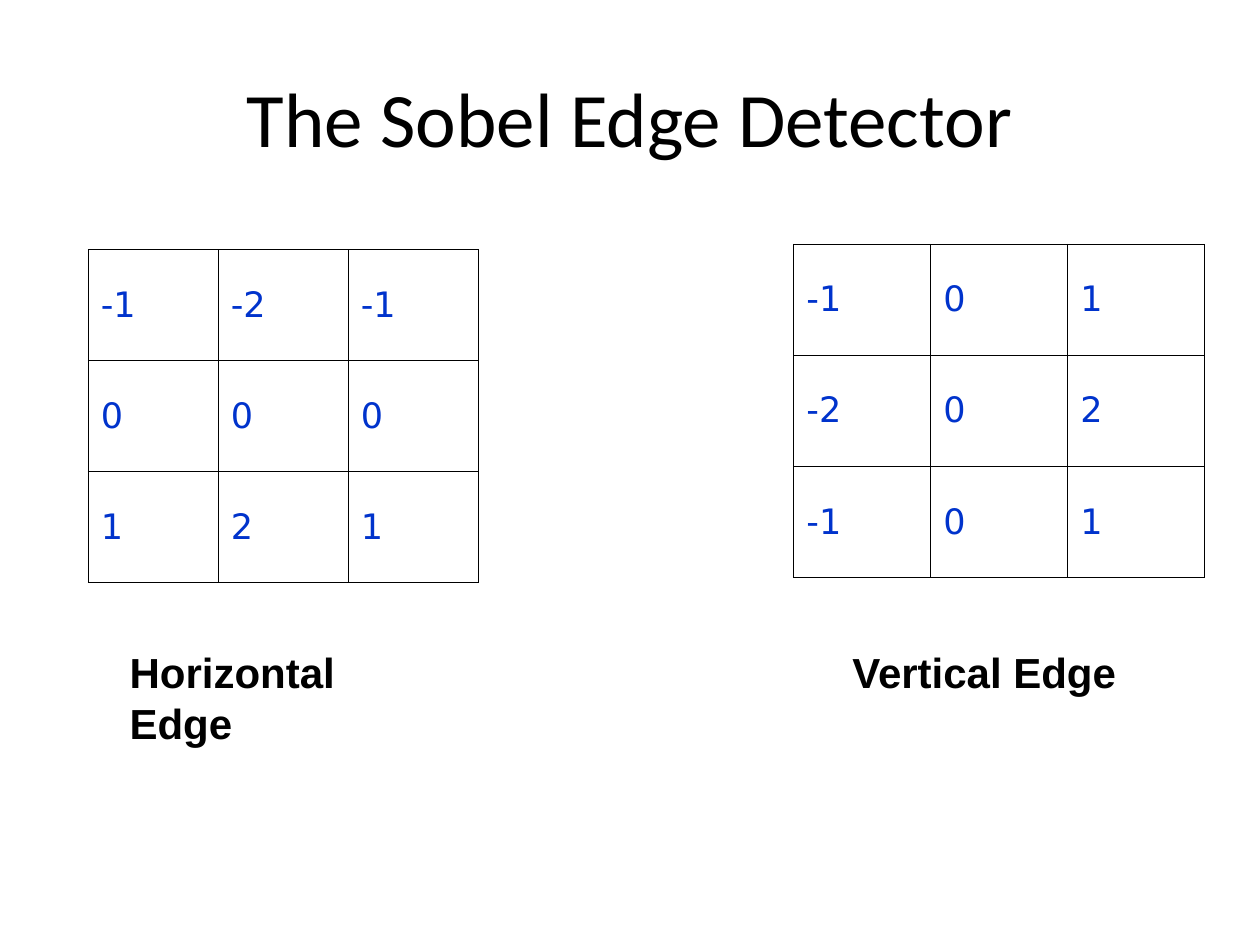
import pptx
import pptx.dml.color
import pptx.enum.text
import pptx.oxml
import pptx.oxml.ns
import pptx.util

Pt = pptx.util.Pt
BLACK = pptx.dml.color.RGBColor(0x00, 0x00, 0x00)
BLUE = pptx.dml.color.RGBColor(0x00, 0x33, 0xCC)
BORDER_WIDTH = Pt(0.45)

HORIZONTAL = [[-1, -2, -1], [0, 0, 0], [1, 2, 1]]
VERTICAL = [[-1, 0, 1], [-2, 0, 2], [-1, 0, 1]]


def format_text(tf, font, size, color, bold=False):
    for p in tf.paragraphs:
        for r in p.runs:
            r.font.name = font
            r.font.size = Pt(size)
            r.font.color.rgb = color
            r.font.bold = bold


def add_borders(cell):
    tcPr = cell._tc.get_or_add_tcPr()
    for side in ("lnL", "lnR", "lnT", "lnB"):
        tcPr.append(pptx.oxml.parse_xml(
            f'<a:{side} {pptx.oxml.ns.nsdecls("a")} w="{BORDER_WIDTH}">'
            f'<a:solidFill><a:srgbClr val="{BLACK}"/></a:solidFill></a:{side}>'))


def place_title(s, text, left, top, width, height):
    sp = s.shapes.title
    sp.left, sp.top, sp.width, sp.height = Pt(left), Pt(top), Pt(width), Pt(height)
    tf = sp.text_frame
    tf.text = text
    tf.vertical_anchor = pptx.enum.text.MSO_ANCHOR.MIDDLE
    tf.paragraphs[0].alignment = pptx.enum.text.PP_ALIGN.CENTER
    format_text(tf, "Calibri", 44, BLACK)


def add_kernel(s, values, left, top, width, height):
    rows, cols = len(values), len(values[0])
    table = s.shapes.add_table(rows, cols, Pt(left), Pt(top), Pt(width), Pt(height)).table
    table.first_row = False
    table.horz_banding = False
    for i, row in enumerate(values):
        for j, value in enumerate(row):
            cell = table.cell(i, j)
            cell.text_frame.text = str(value)
            cell.vertical_anchor = pptx.enum.text.MSO_ANCHOR.MIDDLE
            format_text(cell.text_frame, "DejaVu Sans", 20, BLUE)
            add_borders(cell)
            cell.fill.background()


def add_caption(s, text, left, top, width, height):
    sp = s.shapes.add_textbox(Pt(left), Pt(top), Pt(width), Pt(height))
    tf = sp.text_frame
    tf.text = text
    tf.word_wrap = False
    tf.auto_size = pptx.enum.text.MSO_AUTO_SIZE.SHAPE_TO_FIT_TEXT
    format_text(tf, "Arial", 24, BLACK, bold=True)


def main():
    prs = pptx.Presentation()
    prs.slide_width, prs.slide_height = Pt(720), Pt(540)
    s = prs.slides.add_slide(prs.slide_layouts[5])
    place_title(s, "The Sobel Edge Detector", 36, 21.6, 648, 90)
    add_kernel(s, HORIZONTAL, 50.4, 142.5, 222.9, 190.5)
    add_kernel(s, VERTICAL, 453.6, 139.5, 234.9, 190.5)
    add_caption(s, "Vertical Edge", 480, 366, 166.5, 36)
    add_caption(s, "Horizontal Edge", 67, 366, 196.5, 36)
    prs.save("out.pptx")


if __name__ == "__main__":
    main()
